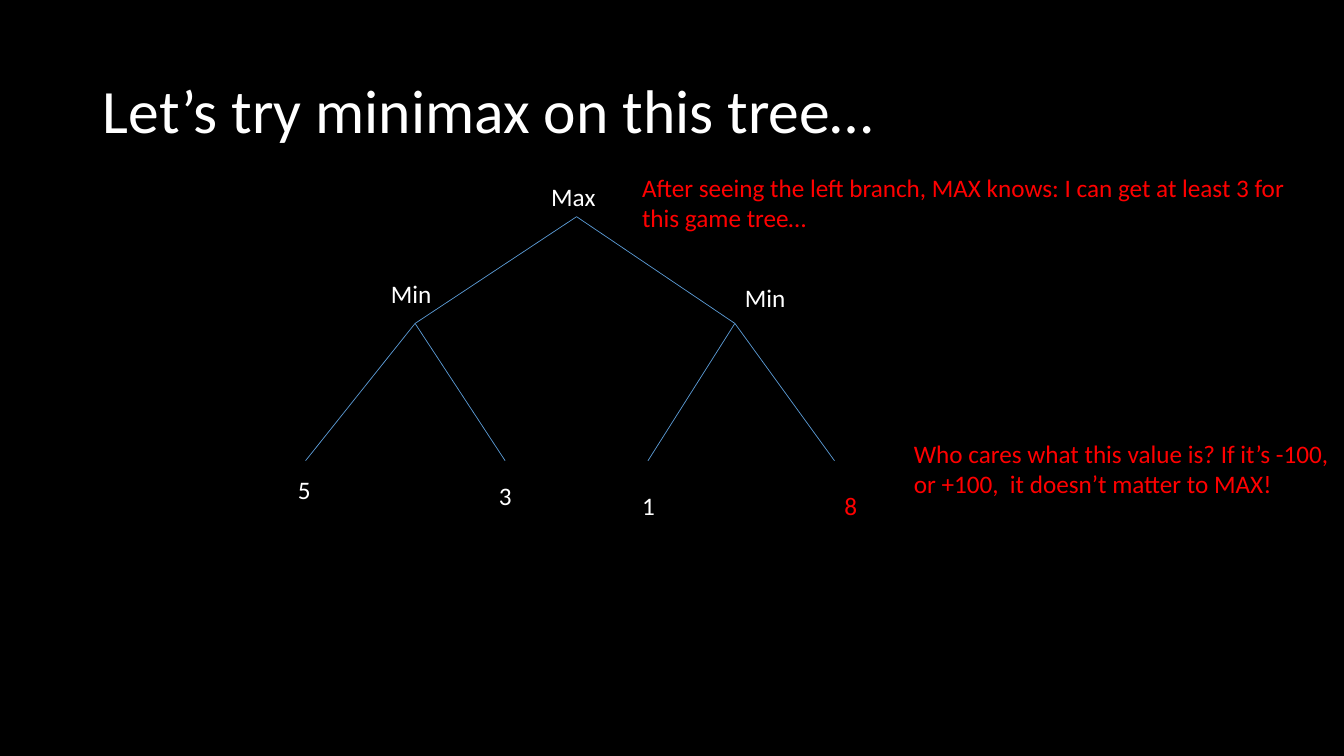
from lxml import etree
from pptx import Presentation
from pptx.dml.color import RGBColor
from pptx.enum.shapes import MSO_CONNECTOR
from pptx.enum.text import MSO_ANCHOR, MSO_AUTO_SIZE, PP_ALIGN
from pptx.oxml.ns import qn
from pptx.util import Cm, Pt

STRAIGHT = MSO_CONNECTOR.STRAIGHT
MIDDLE = MSO_ANCHOR.MIDDLE
LEFT = PP_ALIGN.LEFT
NO_FIT = MSO_AUTO_SIZE.NONE
GROW = MSO_AUTO_SIZE.SHAPE_TO_FIT_TEXT

FONT = "Calibri"
COLORS = {"background": "000000", "text": "FFFFFF", "insight": "FF0000", "branch": "5B9BD5"}
TITLE_ONLY = 5
LINE_HEIGHT = 0.76
INSETS = 0.26

# Tree nodes in cm, level by level
ROOT = (14.53, 5.46)
MIN_LEFT, MIN_RIGHT = (10.46, 8.15), (18.52, 8.15)
LEAF_Y = 11.61
CHILDREN = {
    ROOT: [MIN_LEFT, MIN_RIGHT],
    MIN_LEFT: [(7.7, LEAF_Y), (12.73, LEAF_Y)],
    MIN_RIGHT: [(16.33, LEAF_Y), (21.03, LEAF_Y)],
}

# Text, left, top, width, colour
LABELS = [
    ("Max", 13.64, 4.45, 1.63, "text"),
    ("Min", 9.6, 6.88, 1.55, "text"),
    ("Min", 18.52, 6.99, 1.55, "text"),
    ("5", 7.26, 11.84, 0.84, "text"),
    ("3", 12.32, 11.99, 0.84, "text"),
    ("1", 15.93, 12.24, 0.84, "text"),
    ("8", 21.03, 12.24, 0.84, "insight"),
    ("Who cares what this value is? If it’s -100,\n"
     "or +100,  it doesn’t matter to MAX!", 22.78, 10.92, 11.07, "insight"),
    ("After seeing the left branch, MAX knows: I can get at least 3 for\n"
     "this game tree…", 15.93, 4.22, 16.94, "insight"),
]


def rgb(name):
    """Return the named colour."""
    return RGBColor.from_string(COLORS[name])


def add_run(paragraph, text, size, color):
    """Append one formatted run."""
    run = paragraph.add_run()
    run.text = text
    run.font.name = FONT
    run.font.size = Pt(size)
    run.font.color.rgb = rgb(color)


def set_title(slide, text):
    """Place and format the title placeholder."""
    title = slide.shapes.title
    title.left, title.top, title.width, title.height = Cm(2.34), Cm(1.02), Cm(29.21), Cm(3.68)
    frame = title.text_frame
    frame.auto_size = NO_FIT
    frame.word_wrap = True
    frame.vertical_anchor = MIDDLE
    paragraph = frame.paragraphs[0]
    paragraph.alignment = LEFT
    paragraph.line_spacing = 0.9
    add_run(paragraph, text, 44, "text")


def add_branch(slide, parent, child):
    """Draw the line from a parent node to its child."""
    branch = slide.shapes.add_connector(STRAIGHT, *map(Cm, parent + child))
    branch.line.color.rgb = rgb("branch")
    branch.line.width = Pt(0.5)
    etree.SubElement(branch._element.spPr, qn("a:effectLst"))


def add_label(slide, text, left, top, width, color):
    """Add an unwrapped label, one paragraph for each line."""
    lines = text.split("\n")
    height = INSETS + LINE_HEIGHT * len(lines)
    frame = slide.shapes.add_textbox(Cm(left), Cm(top), Cm(width), Cm(height)).text_frame
    frame.word_wrap = False
    frame.auto_size = GROW
    for index, line in enumerate(lines):
        paragraph = frame.add_paragraph() if index else frame.paragraphs[0]
        add_run(paragraph, line, 18, color)


def main():
    """Build the minimax slide."""
    deck = Presentation()
    deck.slide_width, deck.slide_height = Cm(33.87), Cm(19.05)
    slide = deck.slides.add_slide(deck.slide_layouts[TITLE_ONLY])
    slide.background.fill.solid()
    slide.background.fill.fore_color.rgb = rgb("background")
    set_title(slide, "Let’s try minimax on this tree…")
    for parent, children in CHILDREN.items():
        for child in children:
            add_branch(slide, parent, child)
    for label in LABELS:
        add_label(slide, *label)
    deck.save("out.pptx")


main()
